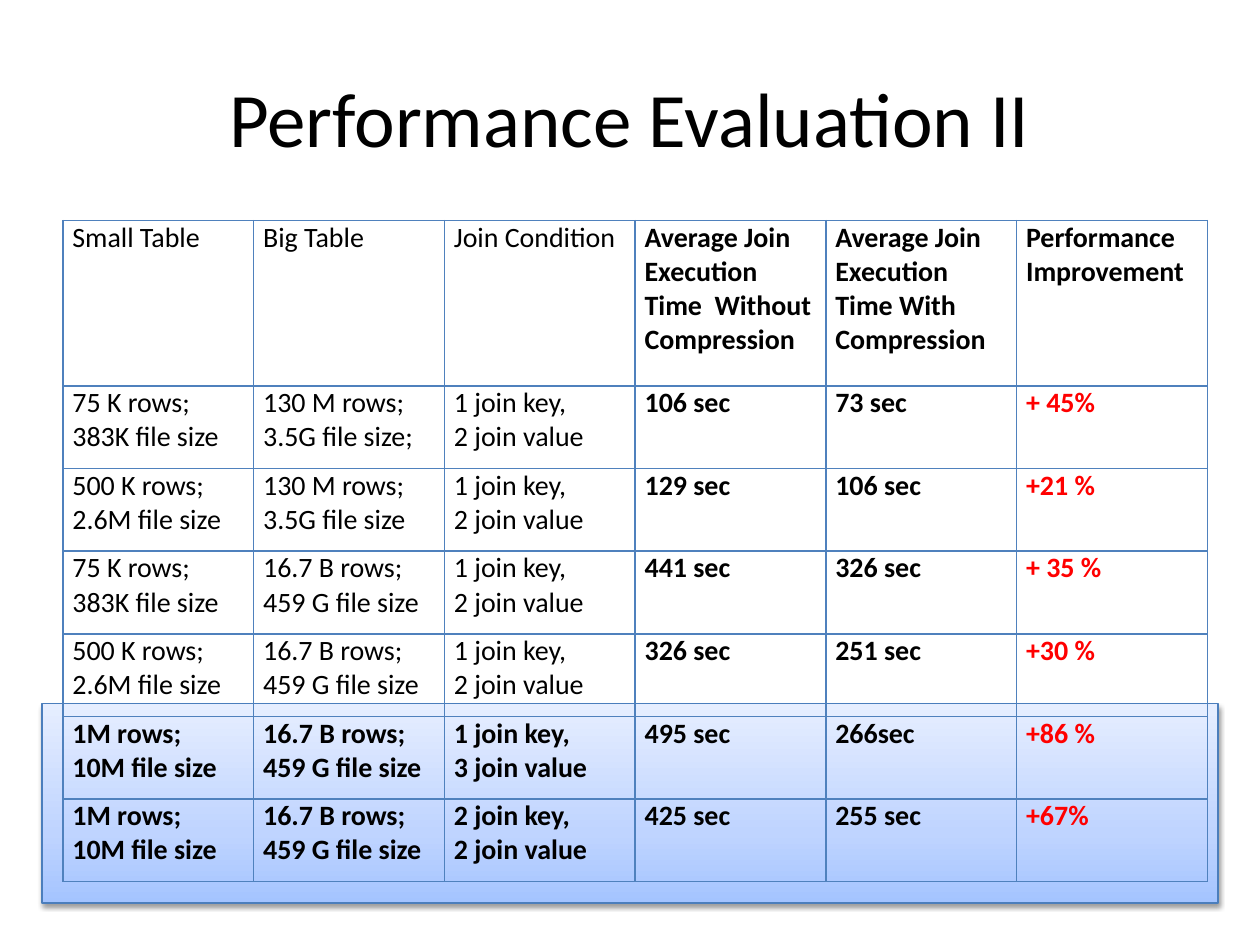
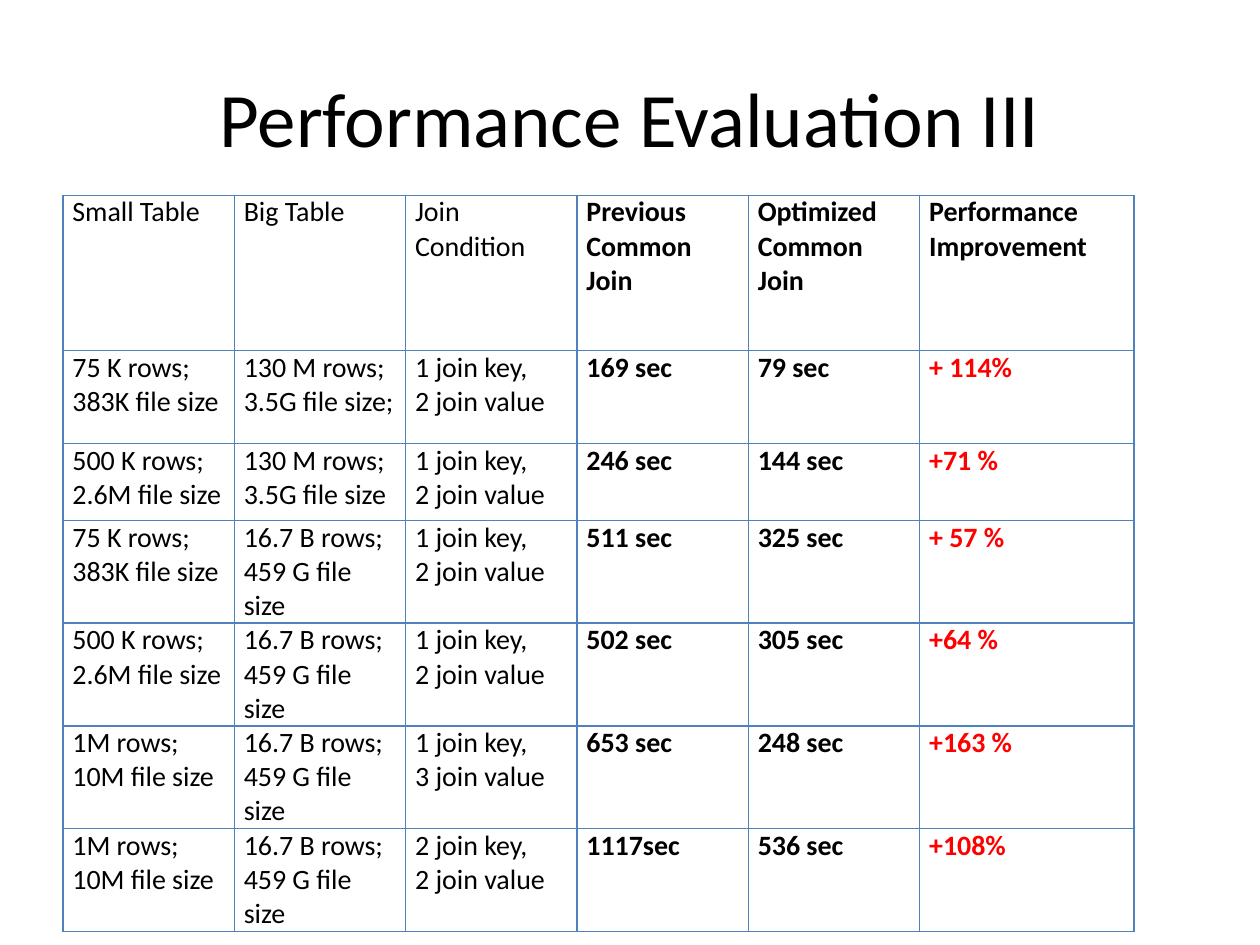
from lxml import etree
from pptx import Presentation
from pptx.dml.color import RGBColor
from pptx.enum import shapes, text
from pptx.oxml import ns
from pptx.util import Pt

COLORS = {"ink": "000000", "gain": "FF0000", "grid": "4F81BD", "edge": "4B7EBC",
          "paper": "FFFFFF", "deep": "A4C4FF", "mid": "BFD4FF", "pale": "E6EEFF"}
FONT = "Calibri"
TITLE_BOX = (36, 21.6, 648, 90)
WORKLOAD_HEADS = ["Small Table", "Big Table", "Join Condition"]
WORKLOADS = [
    ["75 K rows;\n383K file size", "130 M rows;\n3.5G file size;", "1 join key,\n2 join value"],
    ["500 K rows;\n2.6M file size", "130 M rows;\n3.5G file size", "1 join key,\n2 join value"],
    ["75 K rows;\n383K file size", "16.7 B rows;\n459 G file size", "1 join key,\n2 join value"],
    ["500 K rows;\n2.6M file size", "16.7 B rows;\n459 G file size", "1 join key,\n2 join value"],
    ["1M rows;\n10M file size", "16.7 B rows;\n459 G file size", "1 join key,\n3 join value"],
    ["1M rows;\n10M file size", "16.7 B rows;\n459 G file size", "2 join key,\n2 join value"],
]
COMPRESSION_HEADS = ["Average Join Execution Time  Without Compression",
                     "Average Join Execution Time With Compression",
                     "Performance Improvement"]
COMPRESSION_RESULTS = [
    ["106 sec", "73 sec", "+ 45%"], ["129 sec", "106 sec", "+21 %"],
    ["441 sec", "326 sec", "+ 35 %"], ["326 sec", "251 sec", "+30 %"],
    ["495 sec", "266sec", "+86 %"], ["425 sec", "255 sec", "+67%"],
]
COMMON_JOIN_HEADS = ["Previous Common Join", "Optimized Common Join", "Performance Improvement"]
COMMON_JOIN_RESULTS = [
    ["169 sec", "79 sec", "+ 114%"], ["246 sec", "144 sec", "+71 %"],
    ["511 sec", "325 sec", "+ 57 %"], ["502 sec", "305 sec", "+64 %"],
    ["653 sec", "248 sec", "+163 %"], ["1117sec", "536 sec", "+108%"],
]


def rgb(name):
    """Return the named colour."""
    return RGBColor.from_string(COLORS[name])


def add_xml(parent, tag, **attributes):
    """Append a DrawingML element and return it."""
    return etree.SubElement(parent, ns.qn(f"a:{tag}"),
                            {key: str(value) for key, value in attributes.items()})


def write(frame, words, size=16, bold=False, color="ink", align=text.PP_ALIGN.LEFT):
    """Write one formatted paragraph for each line of words."""
    frame.word_wrap = True
    for number, line in enumerate(words.split("\n")):
        paragraph = frame.add_paragraph() if number else frame.paragraphs[0]
        paragraph.alignment = align
        run = paragraph.add_run()
        run.text = line
        run.font.name, run.font.size, run.font.bold = FONT, Pt(size), bold
        run.font.color.rgb = rgb(color)


def add_titled_slide(deck, words):
    """Add a slide with its title set in the shared box."""
    slide = deck.slides.add_slide(deck.slide_layouts[5])
    slide.background.fill.solid()
    slide.background.fill.fore_color.rgb = rgb("paper")
    title = slide.shapes.title
    title.left, title.top, title.width, title.height = map(Pt, TITLE_BOX)
    title.text_frame.vertical_anchor = text.MSO_ANCHOR.MIDDLE
    write(title.text_frame, words, size=44, align=text.PP_ALIGN.CENTER)
    return slide


def add_highlight(slide, box):
    """Add the shaded band behind the most improved rows."""
    band = slide.shapes.add_shape(shapes.MSO_SHAPE.RECTANGLE, *map(Pt, box))
    band.fill.gradient()
    band.fill.gradient_angle = 90
    stops = band.fill._fill._gradFill.find(ns.qn("a:gsLst"))
    for stop in list(stops):
        stops.remove(stop)
    for percent, name in ((0, "deep"), (35, "mid"), (100, "pale")):
        add_xml(add_xml(stops, "gs", pos=percent * 1000), "srgbClr", val=COLORS[name])
    band.line.color.rgb = rgb("edge")
    band.line.width = Pt(0.75)
    band.shadow.inherit = False
    effects = band._element.spPr.find(ns.qn("a:effectLst"))
    shadow = add_xml(effects, "outerShdw", blurRad=Pt(3.1), dist=Pt(1.6),
                     dir=5400000, rotWithShape=0)
    add_xml(add_xml(shadow, "srgbClr", val=COLORS["ink"]), "alpha", val=38000)


def format_cell(cell):
    """Give a cell its margins, thin grid lines and no fill."""
    cell.margin_left = cell.margin_right = Pt(5.4)
    cell.margin_top = cell.margin_bottom = 0
    cell.vertical_anchor = text.MSO_ANCHOR.TOP
    properties = cell._tc.get_or_add_tcPr()
    for side in ("lnL", "lnR", "lnT", "lnB"):
        edge = add_xml(properties, side, w=Pt(1))
        add_xml(add_xml(edge, "solidFill"), "srgbClr", val=COLORS["grid"])
    cell.fill.background()


def add_results(slide, box, widths, heights, heads, results, bold_workloads=()):
    """Add the table of workloads and their measured results."""
    rows = [WORKLOAD_HEADS + heads]
    rows += [workload + result for workload, result in zip(WORKLOADS, results)]
    table = slide.shapes.add_table(len(rows), len(widths), *map(Pt, box)).table
    table.first_row = table.horz_banding = False
    for column, width in zip(table.columns, widths):
        column.width = Pt(width)
    for r, (row, height) in enumerate(zip(rows, heights)):
        table.rows[r].height = Pt(height)
        for c, words in enumerate(row):
            cell = table.cell(r, c)
            format_cell(cell)
            write(cell.text_frame, words, bold=c > 2 or r in bold_workloads,
                  color="gain" if r and c == 5 else "ink")


def add_compression_slide(deck):
    """Compare join times with and without compression."""
    slide = add_titled_slide(deck, "Performance Evaluation II")
    add_highlight(slide, (24, 402, 672, 114))
    left, top, width, height = 36, 126, 654, 378
    unit = height / 8
    add_results(slide, (left, top, width, height), [width / 6] * 6, [2 * unit] + [unit] * 6,
                COMPRESSION_HEADS, COMPRESSION_RESULTS, bold_workloads=(5, 6))


def add_common_join_slide(deck):
    """Compare the previous and the optimized common join."""
    slide = add_titled_slide(deck, "Performance Evaluation III")
    left, top, width, height = 36, 111.6, 612, 416
    add_results(slide, (left, top, width, height), [width * 0.16] * 5 + [width * 0.2],
                [88.6, 53.2, 44] + [57] * 4, COMMON_JOIN_HEADS, COMMON_JOIN_RESULTS)


def main():
    """Build and save the deck."""
    deck = Presentation()
    deck.slide_width, deck.slide_height = Pt(720), Pt(540)
    add_compression_slide(deck)
    add_common_join_slide(deck)
    deck.save("out.pptx")


if __name__ == "__main__":
    main()
